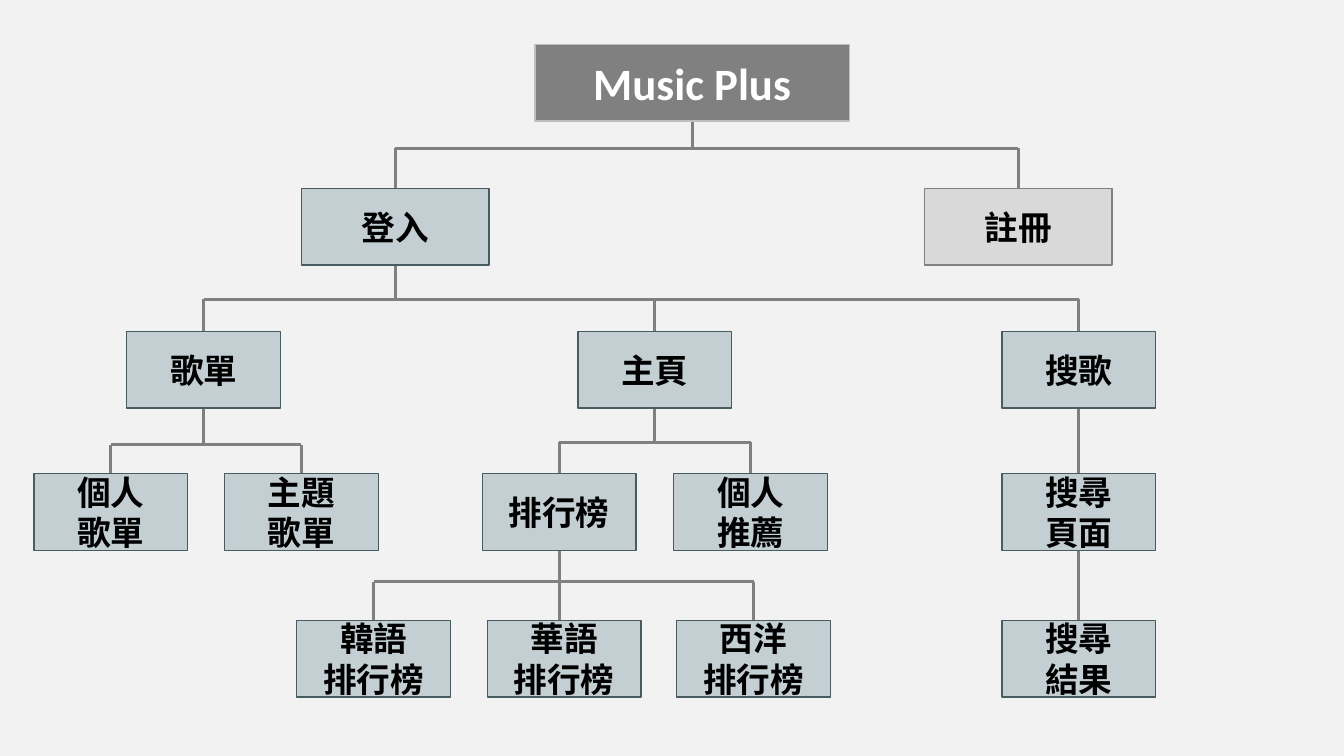
from dataclasses import dataclass

from lxml import etree
from pptx import Presentation
from pptx.dml.color import RGBColor
from pptx.enum.shapes import MSO_CONNECTOR, MSO_SHAPE
from pptx.enum.text import MSO_ANCHOR, PP_ALIGN
from pptx.oxml.ns import qn
from pptx.slide import Slide
from pptx.util import Inches, Pt

RECT = MSO_SHAPE.RECTANGLE
STRAIGHT = MSO_CONNECTOR.STRAIGHT
MIDDLE = MSO_ANCHOR.MIDDLE
CENTER = PP_ALIGN.CENTER

# Slide size, and the shares (in percent) that place the rows
WIDE, HIGH = Inches(13.33), Inches(7.5)
ROWS = (5.87, 24.93, 43.87, 62.67, 82.07)
TALL = 10.13


@dataclass(frozen=True)
class Style:
    fill: str
    edge: str
    ink: str
    size: int
    width: float


@dataclass(frozen=True)
class Theme:
    back: str = "F2F2F2"
    line: str = "808080"
    font: str = "Calibri"
    edge: float = 1
    link: float = 2
    root: Style = Style("808080", "BFBFBF", "FFFFFF", 32, 23.4)
    main: Style = Style("C3CFD3", "475B61", "000000", 24, 13.95)
    side: Style = Style("D9D9D9", "808080", "000000", 24, 13.95)
    page: Style = Style("C3CFD3", "475B61", "000000", 24, 11.44)


THEME = Theme()


@dataclass(frozen=True)
class Node:
    text: str
    mid: float  # where its links meet it, percent of the width
    style: Style = THEME.page
    bus: float = 0  # height of the bar over its children
    kids: tuple["Node", ...] = ()
    shift: float = 0  # box centre relative to mid


# Site map
LISTS = Node("歌單", 15.15, bus=58.8, kids=(
    Node("個人\n歌單", 8.25),
    Node("主題\n歌單", 22.43),
))
CHARTS = Node("排行榜", 41.6, bus=76.93, kids=(
    Node("韓語\n排行榜", 27.8),
    Node("華語\n排行榜", 41.6, shift=0.37),
    Node("西洋\n排行榜", 56.07),
))
HOME = Node("主頁", 48.72, bus=58.53, kids=(
    CHARTS,
    Node("個人\n推薦", 55.85),
))
SEARCH = Node("搜歌", 80.27, kids=(
    Node("搜尋\n頁面", 80.27, kids=(Node("搜尋\n結果", 80.27),)),
))
LOGIN = Node("登入", 29.41, THEME.main, 39.6, (LISTS, HOME, SEARCH))
JOIN = Node("註冊", 75.77, THEME.side)
ROOT = Node("Music Plus", 51.5, THEME.root, 19.6, (LOGIN, JOIN))


def across(share: float) -> int:
    return round(WIDE * share / 100)


def down(share: float) -> int:
    return round(HIGH * share / 100)


def color(code: str) -> RGBColor:
    return RGBColor.from_string(code)


def draw_line(slide: Slide, x1: float, y1: float, x2: float, y2: float) -> None:
    line = slide.shapes.add_connector(
        STRAIGHT, across(x1), down(y1), across(x2), down(y2))
    line.line.color.rgb = color(THEME.line)
    line.line.width = Pt(THEME.link)
    etree.SubElement(line.element.spPr, qn("a:effectLst"))


def draw_links(slide: Slide, node: Node, row: int) -> None:
    foot, head = ROWS[row] + TALL, ROWS[row + 1]
    if len(node.kids) == 1:
        draw_line(slide, node.mid, foot, node.mid, head)
        return
    draw_line(slide, node.mid, foot, node.mid, node.bus)
    draw_line(slide, node.kids[0].mid, node.bus, node.kids[-1].mid, node.bus)
    for kid in node.kids:
        draw_line(slide, kid.mid, node.bus, kid.mid, head)


def draw_box(slide: Slide, node: Node, row: int) -> None:
    style = node.style
    left = node.mid + node.shift - style.width / 2
    box = slide.shapes.add_shape(
        RECT, across(left), down(ROWS[row]), across(style.width), down(TALL))
    box.shadow.inherit = False
    box.fill.solid()
    box.fill.fore_color.rgb = color(style.fill)
    box.line.color.rgb = color(style.edge)
    box.line.width = Pt(THEME.edge)
    frame = box.text_frame
    frame.text = node.text
    frame.word_wrap = True
    frame.vertical_anchor = MIDDLE
    for para in frame.paragraphs:
        para.alignment = CENTER
        for run in para.runs:
            run.font.name = THEME.font
            run.font.size = Pt(style.size)
            run.font.bold = True
            run.font.color.rgb = color(style.ink)


def draw_tree(slide: Slide, node: Node, row: int = 0) -> None:
    if node.kids:
        draw_links(slide, node, row)
    draw_box(slide, node, row)
    for kid in node.kids:
        draw_tree(slide, kid, row + 1)


def main() -> None:
    deck = Presentation()
    deck.slide_width, deck.slide_height = WIDE, HIGH
    slide = deck.slides.add_slide(deck.slide_layouts[6])
    slide.background.fill.solid()
    slide.background.fill.fore_color.rgb = color(THEME.back)
    draw_tree(slide, ROOT)
    deck.save("out.pptx")


if __name__ == "__main__":
    main()
